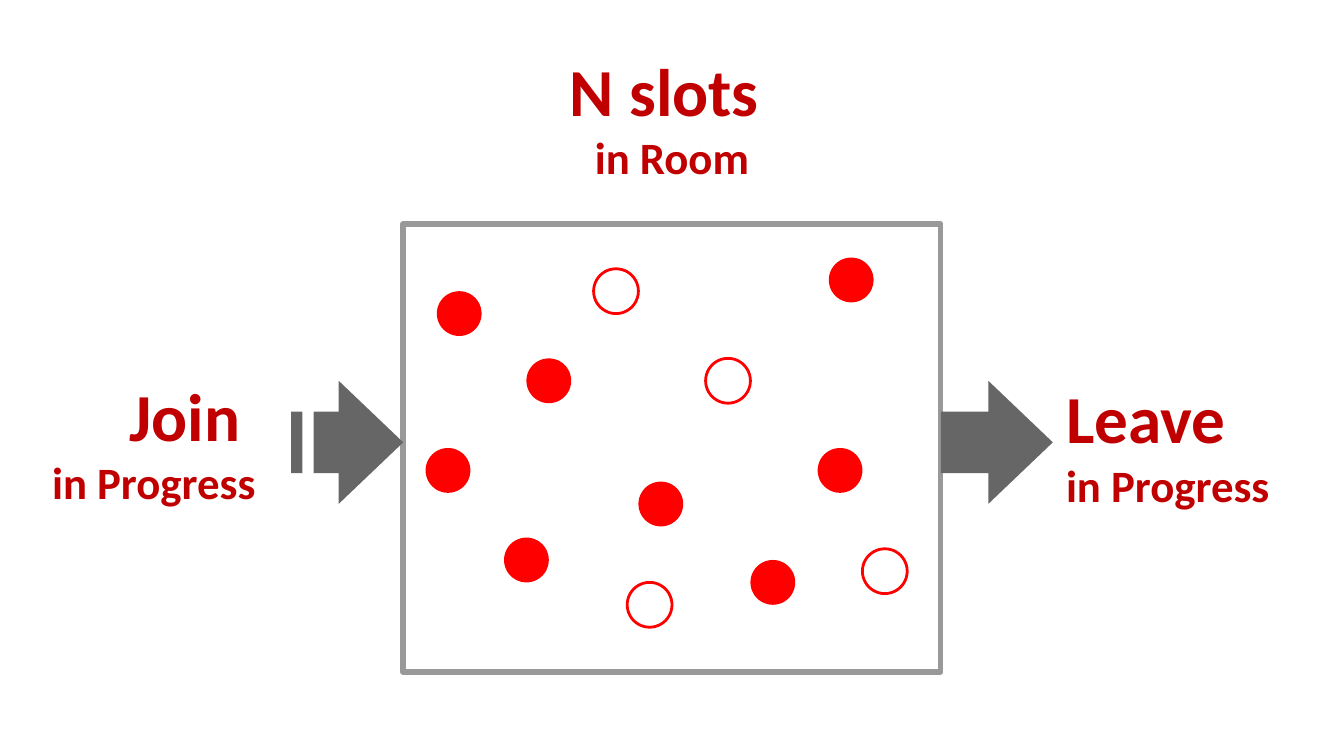
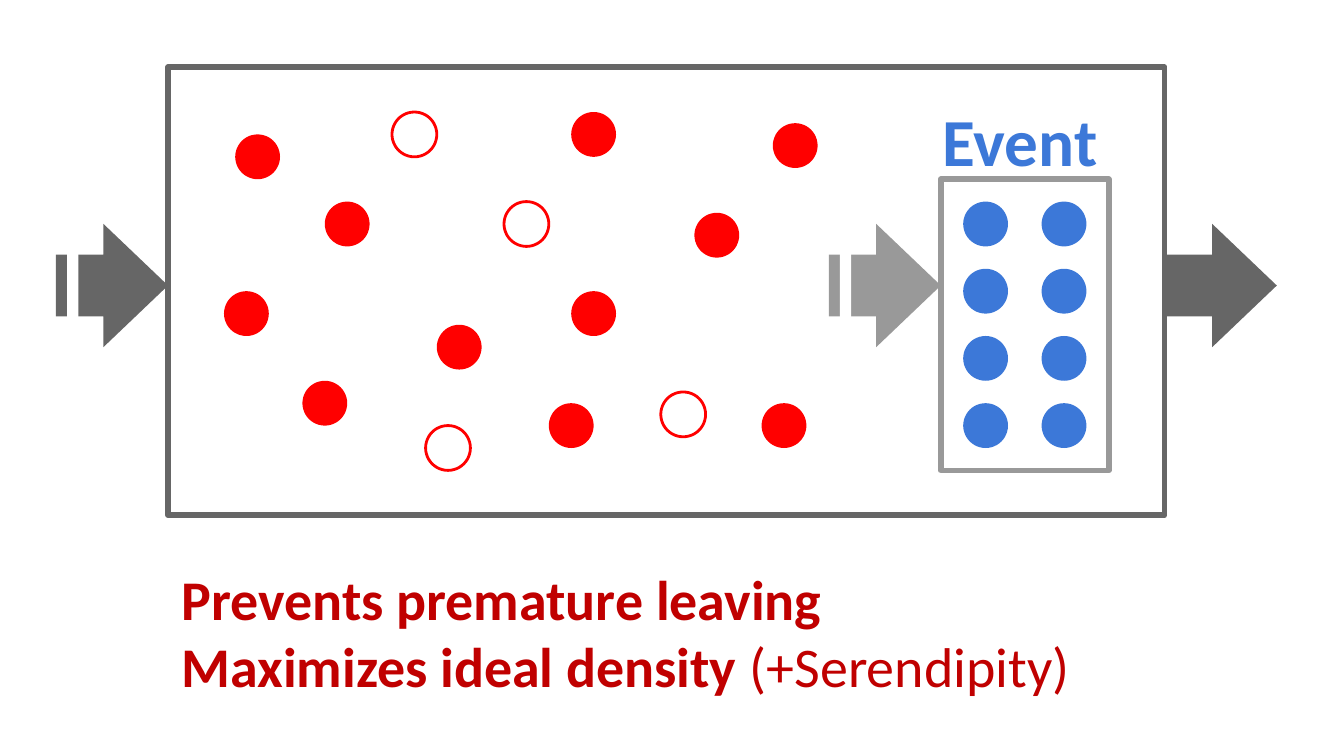
import itertools

import lxml.etree
import pptx
import pptx.dml.color
import pptx.enum.shapes
import pptx.enum.text
import pptx.oxml.ns
import pptx.util

RED = pptx.dml.color.RGBColor(0xFF, 0x00, 0x00)
DARK_RED = pptx.dml.color.RGBColor(0xC0, 0x00, 0x00)
BLUE = pptx.dml.color.RGBColor(0x3C, 0x78, 0xD8)
GRAY = pptx.dml.color.RGBColor(0x66, 0x66, 0x66)
SILVER = pptx.dml.color.RGBColor(0x99, 0x99, 0x99)
WHITE = pptx.dml.color.RGBColor(0xFF, 0xFF, 0xFF)

FORM = pptx.enum.shapes.MSO_SHAPE
ALIGN = pptx.enum.text.PP_ALIGN
FRAME = {
    "word_wrap": True,
    "auto_size": pptx.enum.text.MSO_AUTO_SIZE.NONE,
    "vertical_anchor": pptx.enum.text.MSO_ANCHOR.MIDDLE,
}
FONT = {"name": "Calibri", "bold": True}
TITLE_ONLY = 5
DOT = 4


def unit(count):
    return pptx.util.Cm(count * 2.54 / 12)


def apply(target, values):
    for name, value in values.items():
        setattr(target, name, value)


class Deck:
    def __init__(self):
        self.show = pptx.Presentation()
        self.show.slide_width = unit(120)
        self.show.slide_height = unit(67.5)
        self.slide = None

    def start(self):
        layout = self.show.slide_layouts[TITLE_ONLY]
        self.slide = self.show.slides.add_slide(layout)

    def shape(self, form, box, fill=None, line=None, width=3):
        item = self.slide.shapes.add_shape(form, *map(unit, box))
        item.shadow.inherit = False
        if fill is None:
            item.fill.background()
        else:
            item.fill.solid()
            item.fill.fore_color.rgb = fill
        if line is None:
            item.line.fill.background()
        else:
            item.line.color.rgb = line
            item.line.width = pptx.util.Pt(width)
        return item

    def room(self, box, color):
        item = self.shape(FORM.RECTANGLE, box, line=color)
        edge = item.element.spPr.find(pptx.oxml.ns.qn("a:ln"))
        lxml.etree.SubElement(edge, pptx.oxml.ns.qn("a:round"))

    def dots(self, spots, fill=None, line=None):
        for left, top in spots:
            self.shape(FORM.OVAL, (left, top, DOT, DOT), fill, line, 1.5)

    def arrow(self, left, top, color=GRAY, entry=False):
        item = self.shape(FORM.RIGHT_ARROW, (left, top, 10, 11), color)
        item.adjustments[0] = 0.5
        item.adjustments[1] = 0.576
        if entry:
            self.shape(FORM.RECTANGLE, (left + 1, top + 2, 1, 7), WHITE)

    def text(self, item, lines, align, color):
        frame = item.text_frame
        apply(frame, FRAME)
        for index, runs in enumerate(lines):
            para = frame.paragraphs[0] if index == 0 else frame.add_paragraph()
            para.alignment = align
            for words, size, *bold in runs:
                run = para.add_run()
                run.text = words
                apply(run.font, FONT | {"size": pptx.util.Pt(size)})
                if bold:
                    run.font.bold = bold[0]
                run.font.color.rgb = color

    def title(self, box, lines, align=ALIGN.LEFT):
        item = self.slide.shapes.title
        apply(item, dict(zip(("left", "top", "width", "height"), map(unit, box))))
        self.text(item, lines, align, DARK_RED)

    def label(self, box, lines, align=ALIGN.LEFT, color=DARK_RED):
        item = self.slide.shapes.add_textbox(*map(unit, box))
        self.text(item, lines, align, color)


def draw_slots(deck):
    deck.start()
    deck.title((36, 4.8, 48, 11.25), [[("N slots ", 36)], [("in Room", 24)]], ALIGN.CENTER)
    deck.room((36, 20, 48, 40), SILVER)
    deck.dots([(39, 26), (47, 32), (38, 40), (57, 43),
               (73, 40), (67, 50), (45, 48), (74, 23)], fill=RED)
    deck.dots([(53, 24), (63, 32), (56, 52), (77, 49)], line=RED)
    deck.arrow(26, 34, entry=True)
    deck.arrow(84, 34)
    ways = [("Join ", (1, 33.75, 23, 11.25), ALIGN.RIGHT),
            ("Leave ", (94, 34, 26, 11.25), ALIGN.LEFT)]
    for word, box, align in ways:
        deck.label(box, [[(word, 36)], [("in Progress", 24)]], align)


def draw_event(deck):
    deck.start()
    deck.title((15, 50.75, 99, 11.25), [
        [("Prevents premature leaving", 30)],
        [("Maximizes ideal density ", 30), ("(+Serendipity)", 30, False)],
    ])
    deck.room((15, 6, 89, 40), GRAY)
    deck.dots([(21, 12), (29, 18), (20, 26), (39, 29), (51, 26), (49, 36),
               (27, 34), (69, 11), (51, 10), (62, 19), (68, 36)], fill=RED)
    deck.dots([(35, 10), (45, 18), (38, 38), (59, 35)], line=RED)
    deck.arrow(5, 20, entry=True)
    deck.arrow(104, 20)
    deck.room((84, 16, 15, 26), SILVER)
    deck.dots(itertools.product((86, 93), range(18, 37, 6)), fill=BLUE)
    deck.arrow(74, 20, SILVER, entry=True)
    deck.label((83, 9, 17, 7), [[("Event", 36)]], color=BLUE)


def main():
    deck = Deck()
    draw_slots(deck)
    draw_event(deck)
    deck.show.save("out.pptx")


if __name__ == "__main__":
    main()
